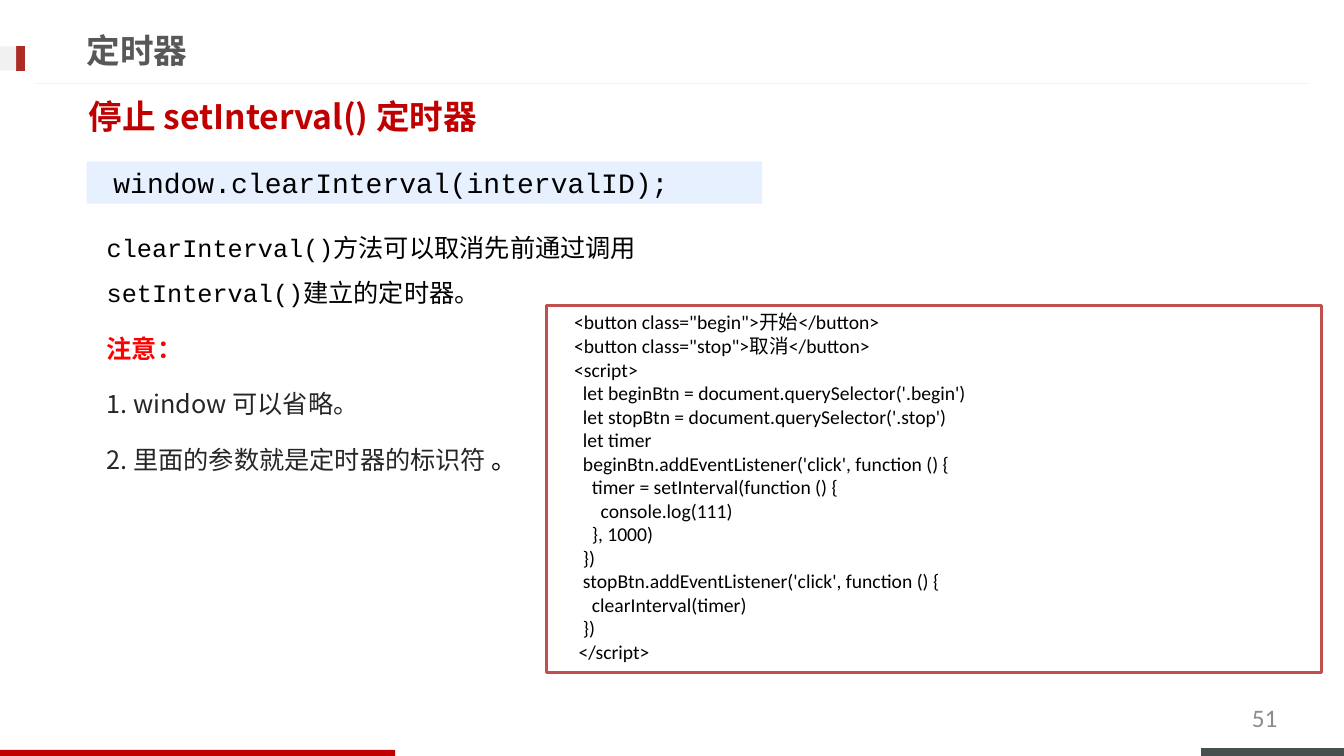
"""Build the slide on stopping a setInterval() timer."""
import pptx
import pptx.dml.color
import pptx.enum.shapes
import pptx.enum.text
import pptx.oxml
import pptx.oxml.ns
import pptx.util

Inches = pptx.util.Inches
Pt = pptx.util.Pt
SHAPE = pptx.enum.shapes.MSO_SHAPE
ANCHOR = pptx.enum.text.MSO_ANCHOR
ALIGN = pptx.enum.text.PP_ALIGN
SANS = "Noto Sans CJK SC"


def rgb(value):
    return pptx.dml.color.RGBColor.from_string(value)


def style(r, size, name, color, bold=False, east=SANS):
    r.font.size = Pt(size)
    r.font.name = name
    r.font.bold = bold
    r.font.color.rgb = rgb(color)
    ea = pptx.oxml.parse_xml(f'<a:ea {pptx.oxml.ns.nsdecls("a")} typeface="{east}"/>')
    r.font._element.find(pptx.oxml.ns.qn("a:latin")).addnext(ea)


prs = pptx.Presentation()
prs.slide_width = Inches(13.33)
prs.slide_height = Inches(7.5)
s = prs.slides.add_slide(prs.slide_layouts[6])

rules = [
    (11.91, 7.46, 13.33, 7.46, "48504F", 5.64),
    (0.35, 0.83, 12.98, 0.83, "F1F1F1", 0.72),
    (0.2, 0.46, 0.2, 0.7, "AC2B25", 6.36),
]
for x1, y1, x2, y2, color, width in rules:
    line = s.shapes.add_connector(
        pptx.enum.shapes.MSO_CONNECTOR.STRAIGHT, Inches(x1), Inches(y1), Inches(x2), Inches(y2))
    line.line.color.rgb = rgb(color)
    line.line.width = Pt(width)
    line._element.spPr.append(
        pptx.oxml.parse_xml(f'<a:effectLst {pptx.oxml.ns.nsdecls("a")}/>'))

panels = []
for x, y, w, h, fill in [
    (0, 0.46, 0.16, 0.24, "F1F1F1"),
    (0, 7.44, 3.92, 0.06, "C00000"),
    (0.86, 1.6, 6.7, 0.42, "E6F0FF"),
    (5.42, 3.03, 7.69, 3.64, "FFFFFF"),
]:
    sp = s.shapes.add_shape(SHAPE.RECTANGLE, Inches(x), Inches(y), Inches(w), Inches(h))
    sp.shadow.inherit = False
    sp.fill.solid()
    sp.fill.fore_color.rgb = rgb(fill)
    sp.line.fill.background()
    panels.append(sp)
syntax, listing = panels[2:]

labels = [
    (0.86, 0.3, 2.14, 0.42, "定时器", 24, "Noto Sans CJK TC", "585858", True, ALIGN.LEFT),
    (0.88, 0.95, 7.13, 0.4, "停止 setInterval() 定时器", 24, SANS, "C00000", True, ALIGN.LEFT),
    (9.6, 6.97, 3.07, 0.3, "51", 18, "Calibri", "8C8C8C", False, ALIGN.RIGHT),
]
for x, y, w, h, text, size, name, color, bold, align in labels:
    tf = s.shapes.add_textbox(Inches(x), Inches(y), Inches(w), Inches(h)).text_frame
    tf.word_wrap = True
    tf.margin_left = tf.margin_right = tf.margin_top = tf.margin_bottom = 0
    tf.text = text
    p = tf.paragraphs[0]
    p.alignment = align
    style(p.runs[0], size, name, color, bold)

tf = syntax.text_frame
tf.vertical_anchor = ANCHOR.MIDDLE
tf.text = " window.clearInterval(intervalID);"
p = tf.paragraphs[0]
p.alignment = ALIGN.LEFT
style(p.runs[0], 20, "Courier New", "000000")

notes = [
    ("clearInterval()方法可以取消先前通过调用 setInterval()建立的定时器。", "Courier New", "000000", False),
    ("注意：", SANS, "FF0000", True),
    ("1. window 可以省略。", SANS, "262626", False),
    ("2. 里面的参数就是定时器的标识符 ", SANS, "262626", False),
]
tf = s.shapes.add_textbox(Inches(0.96), Inches(2.11), Inches(7.1), Inches(2)).text_frame
tf.word_wrap = True
tf.text = "\n".join(note[0] for note in notes)
for i, (p, (text, name, color, bold)) in enumerate(zip(tf.paragraphs, notes)):
    p.line_spacing = Pt(32.2)
    p.space_before = Pt(7.5 if i else 0)
    style(p.runs[0], 18, name, color, bold)
r = tf.paragraphs[-1].add_run()
r.text = "。"
style(r, 18, "Calibri", "000000")

code = """\
    <button class="begin">开始</button>
    <button class="stop">取消</button>
    <script>
      let beginBtn = document.querySelector('.begin')
      let stopBtn = document.querySelector('.stop')
      let timer
      beginBtn.addEventListener('click', function () {
        timer = setInterval(function () {
          console.log(111)
        }, 1000)
      })
      stopBtn.addEventListener('click', function () {
        clearInterval(timer)
      })
     </script>"""
listing.line.color.rgb = rgb("C0504D")
listing.line.width = Pt(2)
tf = listing.text_frame
tf.vertical_anchor = ANCHOR.TOP
tf.text = code
for p in tf.paragraphs:
    p.alignment = ALIGN.LEFT
    p.line_spacing = Pt(16.8)
    style(p.runs[0], 14, "Calibri", "000000")

prs.save("out.pptx")
